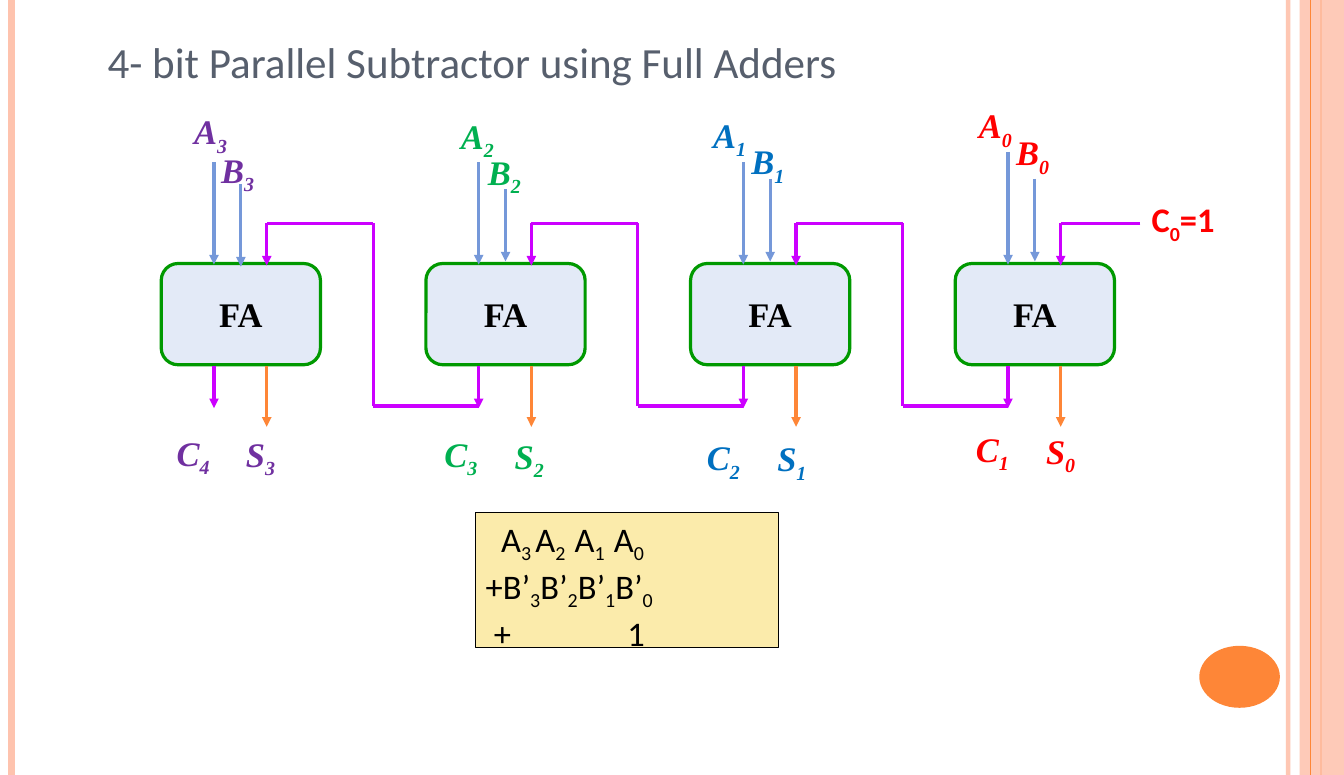
from dataclasses import dataclass

import pptx
import pptx.dml.color
import pptx.enum.shapes
import pptx.enum.text
import pptx.oxml.ns
import pptx.util
from lxml import etree

Inches = pptx.util.Inches
Pt = pptx.util.Pt
qn = pptx.oxml.ns.qn
Shape = pptx.enum.shapes.MSO_SHAPE
Align = pptx.enum.text.PP_ALIGN
Anchor = pptx.enum.text.MSO_ANCHOR
AutoSize = pptx.enum.text.MSO_AUTO_SIZE


@dataclass(frozen=True)
class Theme:
    sans: str = "Calibri"
    serif: str = "Times New Roman"
    title_size: float = 30
    body_size: float = 24
    wire: float = 2.25
    title: str = "575F6D"
    black: str = "000000"
    red: str = "FF0000"
    blue: str = "0070C0"
    green: str = "00B050"
    purple: str = "7030A0"
    carry: str = "CC00FF"
    operand: str = "7598D9"
    orange: str = "FE8637"
    peach: str = "FEC3AE"
    adder_fill: str = "E3EAF7"
    adder_line: str = "009900"
    sum_fill: str = "FBEBAB"


@dataclass(frozen=True)
class Label:
    text: str
    left: float
    top: float


@dataclass(frozen=True)
class Stage:
    color: str
    a_top: float
    b_top: float
    b_tip: float
    labels: tuple[Label, ...]


@dataclass(frozen=True)
class Rail:
    x: float
    width: float
    color: str
    alpha: int = 100


T = Theme()
PITCH = 2.56
FIRST_LEFT = 9.24
ADDER_TOP, ADDER_W, ADDER_H = 2.55, 1.54, 0.98
LEFT_PIN, MID_PIN, RIGHT_PIN = 0.51, 0.77, 1.02
OUT_Y, CARRY_Y, LOOP_Y = 3.54, 3.93, 2.16

STAGES = (
    Stage(T.red, 1.47, 1.73, 2.53, (
        Label("A_0", 9.37, 0.96), Label("B_0", 9.73, 1.22),
        Label("S_0", 10.02, 4.11), Label("C_1", 9.34, 4.09))),
    Stage(T.blue, 1.57, 1.73, 2.53, (
        Label("A_1", 6.8, 1.05), Label("B_1", 7.17, 1.31),
        Label("S_1", 7.42, 4.18), Label("C_2", 6.74, 4.17))),
    Stage(T.green, 1.57, 1.83, 2.53, (
        Label("A_2", 4.36, 1.06), Label("B_2", 4.62, 1.41),
        Label("S_2", 4.88, 4.16), Label("C_3", 4.2, 4.14))),
    Stage(T.purple, 1.57, 1.78, 2.58, (
        Label("A_3", 1.78, 1.02), Label("B_3", 2.04, 1.39),
        Label("S_3", 2.28, 4.14), Label("C_4", 1.61, 4.13))),
)
RAILS = (
    Rail(12.46, 3, T.peach, 93),
    Rail(0.11, 4.5, T.peach),
    Rail(12.78, 1.5, T.orange),
)
SUM_ROWS = (
    ("\tA_3\tA_2\tA_1\tA_0", (0.15, 0.48, 0.86, 1.24)),
    ("+B’_3B’_2B’_1B’_0", ()),
    ("\t+\t1", (0.08, 1.37)),
)


def rgb(color: str) -> pptx.dml.color.RGBColor:
    return pptx.dml.color.RGBColor.from_string(color)


def set_alpha(sp, percent: int) -> None:
    for clr in sp._element.spPr.iter(qn("a:srgbClr")):
        etree.SubElement(clr, qn("a:alpha")).set("val", str(percent * 1000))


def write(p, text: str, *, size: float = T.body_size, font: str = T.sans,
          color: str = T.black, bold: bool = False, italic: bool = False,
          align=Align.LEFT, tabs: tuple[float, ...] = ()) -> None:
    p.alignment = align
    if tabs:
        tab_list = etree.SubElement(p._p.get_or_add_pPr(), qn("a:tabLst"))
        for pos in tabs:
            etree.SubElement(tab_list, qn("a:tab"), pos=str(Inches(pos)), algn="l")
    head, *rest = text.split("_")
    pieces = [(head, False)]
    for part in rest:
        pieces += [(part[0], True), (part[1:], False)]
    for piece, subscript in pieces:
        if not piece:
            continue
        r = p.add_run()
        r.text = piece
        r.font.size = Pt(size)
        r.font.name = font
        r.font.bold = bold
        r.font.italic = italic
        r.font.color.rgb = rgb(color)
        if subscript:
            r._r.get_or_add_rPr().set("baseline", "-25000")


def add_line(s, x1: float, y1: float, x2: float, y2: float, color: str,
             width: float = T.wire, arrow: bool = False):
    sp = s.shapes.add_connector(pptx.enum.shapes.MSO_CONNECTOR.STRAIGHT,
                                Inches(x1), Inches(y1), Inches(x2), Inches(y2))
    sp.line.color.rgb = rgb(color)
    sp.line.width = Pt(width)
    if arrow:
        etree.SubElement(sp.line._get_or_add_ln(), qn("a:tailEnd"), type="triangle")
    etree.SubElement(sp._element.spPr, qn("a:effectLst"))
    return sp


def add_box(s, kind, left: float, top: float, width: float, height: float,
            fill: str, line: str = "", line_width: float = 0):
    sp = s.shapes.add_shape(kind, Inches(left), Inches(top), Inches(width), Inches(height))
    sp.shadow.inherit = False
    sp.fill.solid()
    sp.fill.fore_color.rgb = rgb(fill)
    if line:
        sp.line.color.rgb = rgb(line)
        sp.line.width = Pt(line_width)
    else:
        sp.line.fill.background()
    return sp


def add_label(s, label: Label, width: float = 0.9, **style) -> None:
    sp = s.shapes.add_textbox(Inches(label.left), Inches(label.top), Inches(width), Inches(0.5))
    tf = sp.text_frame
    tf.word_wrap = True
    tf.auto_size = AutoSize.SHAPE_TO_FIT_TEXT
    write(tf.paragraphs[0], label.text, bold=True, **style)


def add_frame(s) -> None:
    for rail in RAILS:
        sp = add_line(s, rail.x, 0, rail.x, 7.5, rail.color, rail.width)
        if rail.alpha < 100:
            set_alpha(sp, rail.alpha)
    set_alpha(add_box(s, Shape.RECTANGLE, 12.57, 0, 0.43, 7.5, T.peach), 87)
    add_line(s, 12.68, 0, 12.68, 7.5, T.orange, 0.75)
    add_box(s, Shape.OVAL, 11.6, 6.25, 0.78, 0.6, T.orange)


def add_title(s) -> None:
    sp = s.shapes.title
    sp.left, sp.top, sp.width, sp.height = map(Inches, (0.94, 0.29, 10.45, 0.61))
    tf = sp.text_frame
    tf.vertical_anchor = Anchor.TOP
    tf.auto_size = AutoSize.NONE
    write(tf.paragraphs[0], "4- bit Parallel Subtractor using Full Adders",
          size=T.title_size, color=T.title)


def add_adder(s, x: float, stage: Stage) -> None:
    sp = add_box(s, Shape.ROUNDED_RECTANGLE, x, ADDER_TOP, ADDER_W, ADDER_H,
                 T.adder_fill, T.adder_line, T.wire)
    tf = sp.text_frame
    tf.margin_left = tf.margin_right = tf.margin_top = tf.margin_bottom = 0
    tf.vertical_anchor = Anchor.MIDDLE
    write(tf.paragraphs[0], "FA", font=T.serif, bold=True, align=Align.CENTER)
    for pin, start, tip, color in (
        (RIGHT_PIN, LOOP_Y, 2.57, T.carry),
        (MID_PIN, stage.b_top, stage.b_tip, T.operand),
        (LEFT_PIN, stage.a_top, 2.56, T.operand),
        (RIGHT_PIN, OUT_Y, 4.13, T.orange),
        (LEFT_PIN, OUT_Y, 3.95, T.carry),
    ):
        add_line(s, x + pin, start, x + pin, tip, color, arrow=True)
    for label in stage.labels:
        add_label(s, label, font=T.serif, color=stage.color, italic=True)


def add_carry_loop(s, x: float) -> None:
    riser = x - 0.51
    add_line(s, x + LEFT_PIN, CARRY_Y, riser, CARRY_Y, T.carry)
    add_line(s, riser, CARRY_Y, riser, LOOP_Y, T.carry)
    add_line(s, riser, LOOP_Y, x - PITCH + RIGHT_PIN, LOOP_Y, T.carry)


def add_sum(s) -> None:
    tf = add_box(s, Shape.RECTANGLE, 4.6, 4.96, 2.93, 1.31, T.sum_fill, T.black, 0.75).text_frame
    tf.word_wrap = True
    tf.vertical_anchor = Anchor.TOP
    for i, (text, tabs) in enumerate(SUM_ROWS):
        p = tf.add_paragraph() if i else tf.paragraphs[0]
        write(p, text, tabs=tabs)


def main() -> None:
    prs = pptx.Presentation()
    prs.slide_width, prs.slide_height = Inches(13), Inches(7.5)
    s = prs.slides.add_slide(prs.slide_layouts[5])
    add_frame(s)
    add_title(s)
    for i, stage in enumerate(STAGES):
        x = FIRST_LEFT - i * PITCH
        add_adder(s, x, stage)
        if i < len(STAGES) - 1:
            add_carry_loop(s, x)
    add_line(s, 11.03, LOOP_Y, FIRST_LEFT + RIGHT_PIN, LOOP_Y, T.carry)
    add_label(s, Label("C_0=1", 11.04, 1.87), width=1.16, color=T.red)
    add_sum(s)
    prs.save("out.pptx")


if __name__ == "__main__":
    main()
